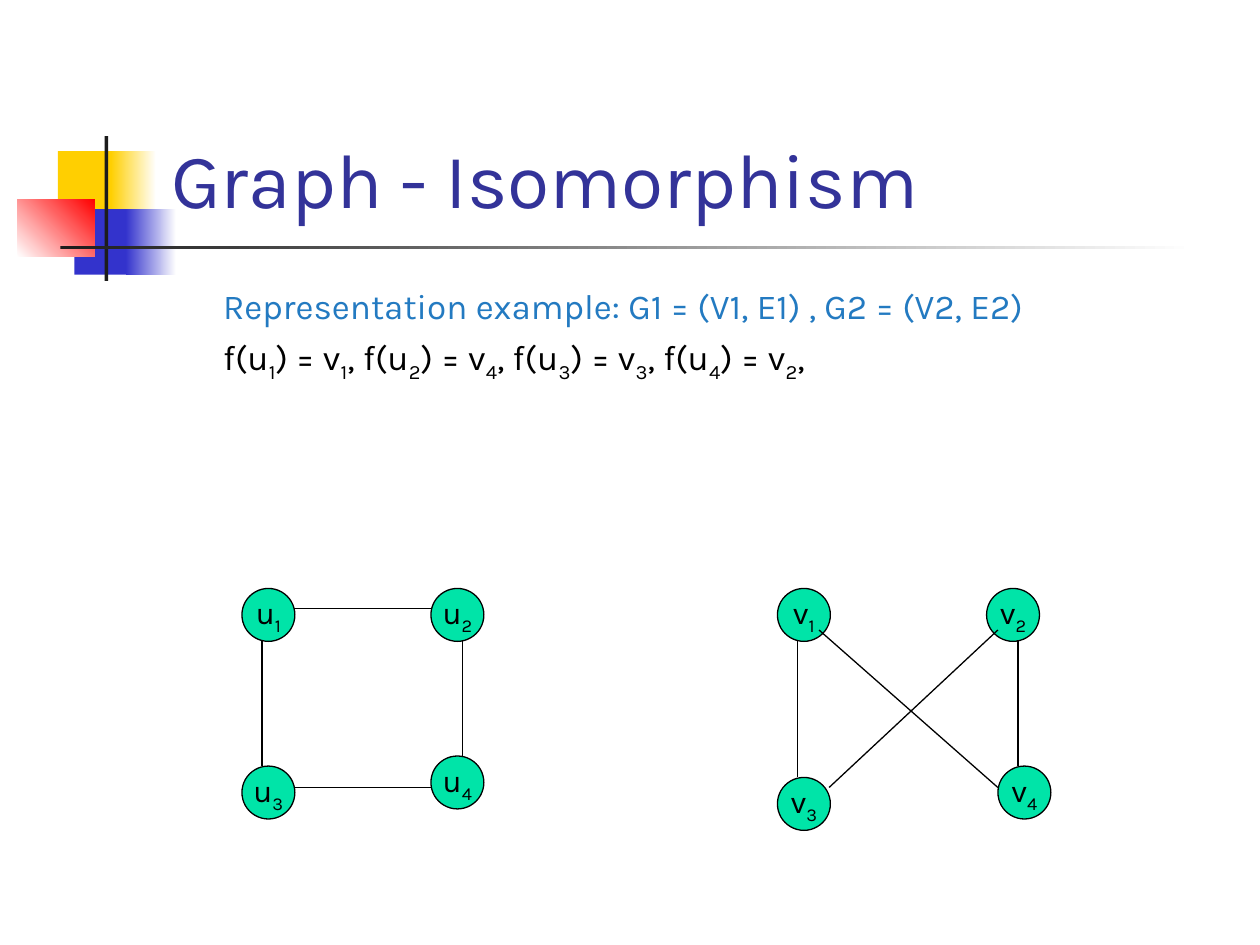
from dataclasses import dataclass

from lxml import etree
from pptx import Presentation
from pptx.dml.color import RGBColor
from pptx.enum import shapes, text
from pptx.oxml import ns
from pptx.util import Inches, Pt


@dataclass(frozen=True)
class Theme:
    font: str = "Karla"
    title: str = "333399"
    heading: str = "237AC1"
    ink: str = "000000"
    node: str = "00E4A8"
    yellow: str = "FFCF01"
    blue: str = "3333CC"
    red: str = "FF0000"
    bar: str = "1C1C1C"
    white: str = "FFFFFF"
    title_size: int = 44
    body_size: int = 20
    node_size: int = 18
    line_width: float = 0.75


THEME = Theme()
NODE_SIZE = 0.42


def color(value):
    return RGBColor.from_string(value)


def place(shape, box):
    shape.left, shape.top, shape.width, shape.height = map(Inches, box)


def add_runs(paragraph, content, size, ink):
    """Write content; each digit that follows an underscore is a subscript."""
    first, *rest = content.split("_")
    pieces = [(first, False)]
    for part in rest:
        pieces += [(part[0], True), (part[1:], False)]
    for piece, is_subscript in pieces:
        if not piece:
            continue
        run = paragraph.add_run()
        run.text = piece
        run.font.name = THEME.font
        run.font.size = Pt(size)
        run.font.color.rgb = color(ink)
        if is_subscript:
            run._r.get_or_add_rPr().set("baseline", "-25000")


def add_block(slide, box, start, end=None, angle=0):
    """Add a borderless rectangle, plain or with a two-colour gradient."""
    block = slide.shapes.add_shape(shapes.MSO_SHAPE.RECTANGLE, *map(Inches, box))
    block.shadow.inherit = False
    block.line.fill.background()
    if end is None:
        block.fill.solid()
        block.fill.fore_color.rgb = color(start)
        return
    block.fill.gradient()
    block.fill.gradient_angle = angle
    for stop, value, position in zip(block.fill.gradient_stops, (start, end), (0, 1)):
        stop.color.rgb = color(value)
        stop.position = position


def add_ornament(slide, left, top):
    """Coloured squares with a crossing rule."""
    blocks = [
        ((0.32, 0.12, 0.48, 0.52), THEME.yellow),
        ((0.74, 0.12, 0.36, 0.52), THEME.yellow, THEME.white),
        ((0.45, 0.58, 0.46, 0.52), THEME.blue),
        ((0.86, 0.58, 0.4, 0.52), THEME.blue, THEME.white),
        ((0, 0.5, 0.61, 0.46), THEME.white, THEME.red, 45),
        ((0.69, 0, 0.03, 1.15), THEME.bar),
        ((0.34, 0.87, 9, 0.03), THEME.bar, THEME.white),
    ]
    for (x, y, width, height), *paint in blocks:
        add_block(slide, (left + x, top + y, width, height), *paint)


def fill_title(slide, box, content):
    title = slide.shapes.title
    slide.shapes._spTree.append(title._element)  # in front of the ornament
    place(title, box)
    frame = title.text_frame
    frame.auto_size = text.MSO_AUTO_SIZE.NONE
    frame.vertical_anchor = text.MSO_ANCHOR.BOTTOM
    paragraph = frame.paragraphs[0]
    paragraph.alignment = text.PP_ALIGN.LEFT
    add_runs(paragraph, content, THEME.title_size, THEME.title)


def fill_body(slide, box, lines):
    body = slide.placeholders[1]
    slide.shapes._spTree.append(body._element)
    place(body, box)
    frame = body.text_frame
    frame.auto_size = text.MSO_AUTO_SIZE.NONE
    for index, (content, ink) in enumerate(lines):
        paragraph = frame.add_paragraph() if index else frame.paragraphs[0]
        paragraph.alignment = text.PP_ALIGN.JUSTIFY
        paragraph.space_before = Pt(5)
        properties = paragraph._p.get_or_add_pPr()
        properties.set("marL", str(Inches(0.38)))
        properties.set("indent", "0")
        etree.SubElement(properties, ns.qn("a:buNone"))
        add_runs(paragraph, content, THEME.body_size, ink)


def add_node(slide, left, top, label):
    box = (left, top, NODE_SIZE, NODE_SIZE)
    node = slide.shapes.add_shape(shapes.MSO_SHAPE.OVAL, *map(Inches, box))
    node.shadow.inherit = False
    node.fill.solid()
    node.fill.fore_color.rgb = color(THEME.node)
    node.line.color.rgb = color(THEME.ink)
    node.line.width = Pt(THEME.line_width)
    frame = node.text_frame
    frame.word_wrap = False
    frame.vertical_anchor = text.MSO_ANCHOR.MIDDLE
    paragraph = frame.paragraphs[0]
    paragraph.alignment = text.PP_ALIGN.CENTER
    add_runs(paragraph, label, THEME.node_size, THEME.ink)


def add_edge(slide, *ends):
    edge = slide.shapes.add_connector(
        shapes.MSO_CONNECTOR.STRAIGHT, *map(Inches, ends))
    edge.line.color.rgb = color(THEME.ink)
    edge.line.width = Pt(THEME.line_width)
    etree.SubElement(edge._element.spPr, ns.qn("a:effectLst"))


def add_graph(slide, left, top, letter, nodes, edges):
    """Nodes are numbered in order; positions are relative to the corner."""
    for number, (x, y) in enumerate(nodes, start=1):
        add_node(slide, left + x, top + y, f"{letter}_{number}")
    for x1, y1, x2, y2 in edges:
        add_edge(slide, left + x1, top + y1, left + x2, top + y2)


def build_slide(presentation):
    slide = presentation.slides.add_slide(presentation.slide_layouts[1])
    add_ornament(slide, 0.14, 1.08)
    fill_title(slide, (1.26, 0.23, 8.52, 1.6), "Graph - Isomorphism")
    fill_body(slide, (1.29, 2.21, 8.5, 1.13), [
        ("Representation example: G1 = (V1, E1) , G2 = (V2, E2) ", THEME.heading),
        ("f(u_1) = v_1, f(u_2) = v_4, f(u_3) = v_3, f(u_4) = v_2, ", THEME.ink),
    ])
    # Square graph
    add_graph(slide, 1.92, 4.67, "u",
              [(0, 0), (1.5, 0), (0, 1.41), (1.5, 1.33)],
              [(0.41, 0.16, 1.5, 0.16), (0.41, 1.58, 1.5, 1.58),
               (0.16, 0.41, 0.16, 1.41), (1.75, 0.41, 1.75, 1.33)])
    # Crossed graph
    add_graph(slide, 6.17, 4.67, "v",
              [(0, 0), (1.66, 0), (0, 1.5), (1.75, 1.41)],
              [(0.16, 0.41, 0.16, 1.5), (1.91, 0.41, 1.91, 1.41),
               (0.33, 0.33, 1.75, 1.58), (1.75, 0.33, 0.41, 1.58)])


def main():
    presentation = Presentation()
    presentation.slide_width = Inches(10)
    presentation.slide_height = Inches(7.5)
    build_slide(presentation)
    presentation.save("out.pptx")


if __name__ == "__main__":
    main()
